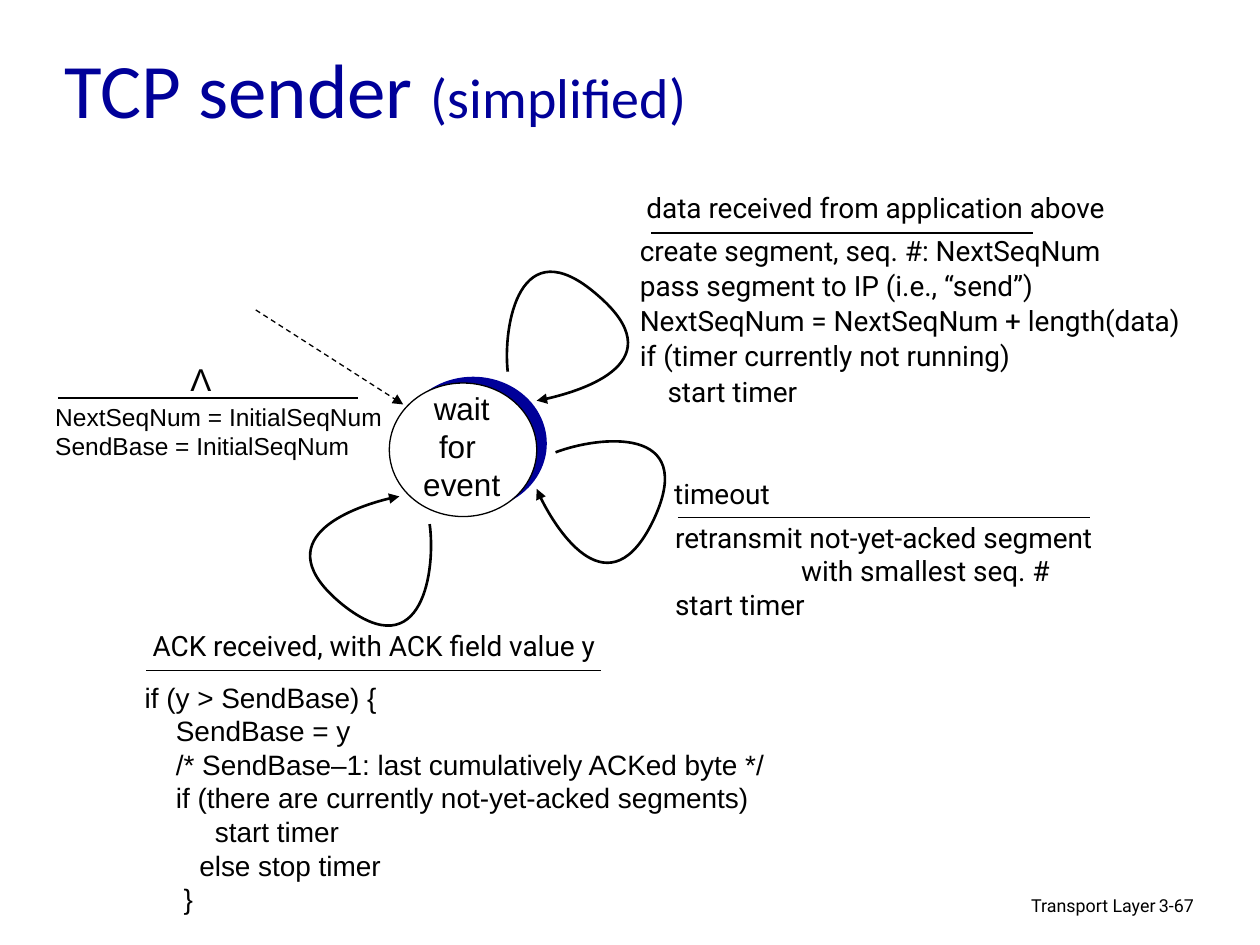
"""Build the state diagram slide of a simplified TCP sender."""
import pptx
import pptx.dml.color
import pptx.enum.dml
import pptx.enum.shapes
import pptx.enum.text
import pptx.oxml
import pptx.oxml.ns
import pptx.util

Inches = pptx.util.Inches
Pt = pptx.util.Pt
Align = pptx.enum.text.PP_ALIGN
Anchor = pptx.enum.text.MSO_ANCHOR
BLACK = pptx.dml.color.RGBColor(0, 0, 0)
WHITE = pptx.dml.color.RGBColor(255, 255, 255)
NAVY = pptx.dml.color.RGBColor(0, 0, 0x99)
DASH = pptx.enum.dml.MSO_LINE.DASH
SPACE = 0.062


def node(tag, rest=""):
    return pptx.oxml.parse_xml(f'<a:{tag} {pptx.oxml.ns.nsdecls("a")} {rest}/>')


class Page:
    def __init__(self, deck):
        self.slide = deck.slides.add_slide(deck.slide_layouts[5])
        self.shapes = self.slide.shapes

    def title(self, box, parts):
        shape = self.shapes.title
        shape.left, shape.top, shape.width, shape.height = map(Inches, box)
        frame = shape.text_frame
        frame.vertical_anchor = Anchor.MIDDLE
        para = frame.paragraphs[0]
        para.alignment = Align.LEFT
        para.font.name = "Calibri"
        para.font.color.rgb = NAVY
        for words, size in parts:
            run = para.add_run()
            run.text = words
            run.font.size = Pt(size)

    def text(self, box, lines, size, font="Roboto", align=Align.LEFT, gap=None):
        frame = self.shapes.add_textbox(*map(Inches, box)).text_frame
        frame.word_wrap = True
        for i, (words, indent) in enumerate(lines):
            para = frame.add_paragraph() if i else frame.paragraphs[0]
            para.text = words
            para.alignment = align
            para.line_spacing = gap
            para.font.name = font
            para.font.size = Pt(size)
            para.font.color.rgb = BLACK
            if indent:
                props = para._p.get_or_add_pPr()
                props.set("marL", str(Inches(indent)))
                props.set("indent", "0")

    def label(self, box, *words, size=16, font="Roboto"):
        self.text(box, [(word, 0) for word in words], size, font, Align.CENTER)

    def disc(self, box, fill, edge=False):
        kind = pptx.enum.shapes.MSO_SHAPE.OVAL
        shape = self.shapes.add_shape(kind, *map(Inches, box))
        shape.shadow.inherit = False
        shape.fill.solid()
        shape.fill.fore_color.rgb = fill
        if edge:
            self.stroke(shape, 0.75)
        else:
            shape.line.fill.background()

    def stroke(self, shape, width, arrow=False):
        shape.line.color.rgb = BLACK
        shape.line.width = Pt(width)
        if arrow:
            shape.line._get_or_add_ln().append(node("tailEnd", 'type="triangle"'))

    def line(self, start, end, dash=None):
        kind = pptx.enum.shapes.MSO_CONNECTOR.STRAIGHT
        shape = self.shapes.add_connector(kind, *map(Inches, start + end))
        if dash:
            shape.line.dash_style = dash
        self.stroke(shape, 0.75, arrow=dash is not None)
        shape._element.spPr.append(node("effectLst"))

    def loop(self, *points):
        spots = [(Inches(x), Inches(y)) for x, y in points]
        draft = self.shapes.build_freeform(*spots[0])
        draft.add_line_segments(spots[1:], close=False)
        shape = draft.convert_to_shape()
        steps = shape._element.findall(".//" + pptx.oxml.ns.qn("a:lnTo"))
        for i in range(0, len(steps), 3):
            curve = node("cubicBezTo")
            steps[i].addprevious(curve)
            for step in steps[i:i + 3]:
                curve.append(step[0])
                step.getparent().remove(step)
        shape.shadow.inherit = False
        shape.fill.background()
        self.stroke(shape, 1.5, arrow=True)


def main():
    deck = pptx.Presentation()
    deck.slide_width, deck.slide_height = Inches(10), Inches(7.5)
    page = Page(deck)
    page.title((0.41, 0.21, 8.46, 0.98), [("TCP sender ", 44), ("(simplified)", 32)])
    page.text((6.1, 7.07, 3.17, 0.31), [("Transport Layer", 0)], 10.2,
              align=Align.RIGHT, gap=0.9)
    page.text((9.1, 7.07, 0.74, 0.3), [("3-67", 0)], 10.2, gap=0.9)

    page.disc((3.17, 2.99, 1.17, 1.06), NAVY)
    page.disc((3.09, 3.04, 1.17, 1.06), WHITE, edge=True)
    page.label((3.16, 3.04, 1.01, 1), "wait", "for ", "event", size=18, font="Arial")

    page.line((2.03, 2.46), (3.2, 3.21), DASH)
    page.label((1.41, 2.81, 0.37, 0.4), "Λ", size=18, font="Arial")
    page.line((0.46, 3.16), (2.84, 3.16))
    page.text((0.34, 3.14, 2.9, 0.57), [
        ("NextSeqNum = InitialSeqNum", 0),
        ("SendBase = InitialSeqNum", 0)], 14, "Arial")

    page.label((4.92, 1.46, 4.06, 0.37), "data received from application above")
    page.line((5.17, 1.85), (8.2, 1.85))
    page.text((4.98, 1.79, 4.78, 1.77), [
        ("create segment, seq. #: NextSeqNum", 0),
        ("pass segment to IP (i.e., “send”)", 0),
        ("NextSeqNum = NextSeqNum + length(data)", 0),
        ("if (timer currently not running)", 0),
        ("start timer", 0.22)], 16, gap=1.05)

    page.label((5.22, 3.73, 1.02, 0.37), "timeout")
    page.line((5.38, 4.11), (8.65, 4.11))
    page.text((5.26, 4.08, 3.6, 1.17), [
        ("retransmit not-yet-acked segment", 0),
        ("with smallest seq. #", 1),
        ("start timer", 0)], 16)

    page.label((1.02, 4.94, 3.95, 0.37), "ACK received, with ACK field value y ")
    page.line((1.16, 5.32), (4.77, 5.32))
    page.text((1.05, 5.35, 5.3, 1.97), [
        ("if (y > SendBase) {", 0),
        ("SendBase = y", 4 * SPACE),
        ("/* SendBase–1: last cumulatively ACKed byte */", 4 * SPACE),
        ("if (there are currently not-yet-acked segments)", 4 * SPACE),
        ("start timer", 9 * SPACE),
        ("else stop timer", 7 * SPACE),
        ("}", 5 * SPACE)], 16, "Arial")

    page.loop((4.03, 2.95), (3.99, 2.59), (4.12, 1.8), (4.74, 2.34),
              (5.36, 2.87), (4.52, 3.14), (4.26, 3.18))
    page.loop((4.41, 3.59), (4.75, 3.46), (5.54, 3.37), (5.19, 4.12),
              (4.84, 4.86), (4.35, 4.12), (4.26, 3.88))
    page.loop((3.41, 4.16), (3.46, 4.51), (3.36, 5.31), (2.72, 4.8),
              (2.08, 4.28), (2.91, 3.98), (3.17, 3.94))
    deck.save("out.pptx")


if __name__ == "__main__":
    main()
